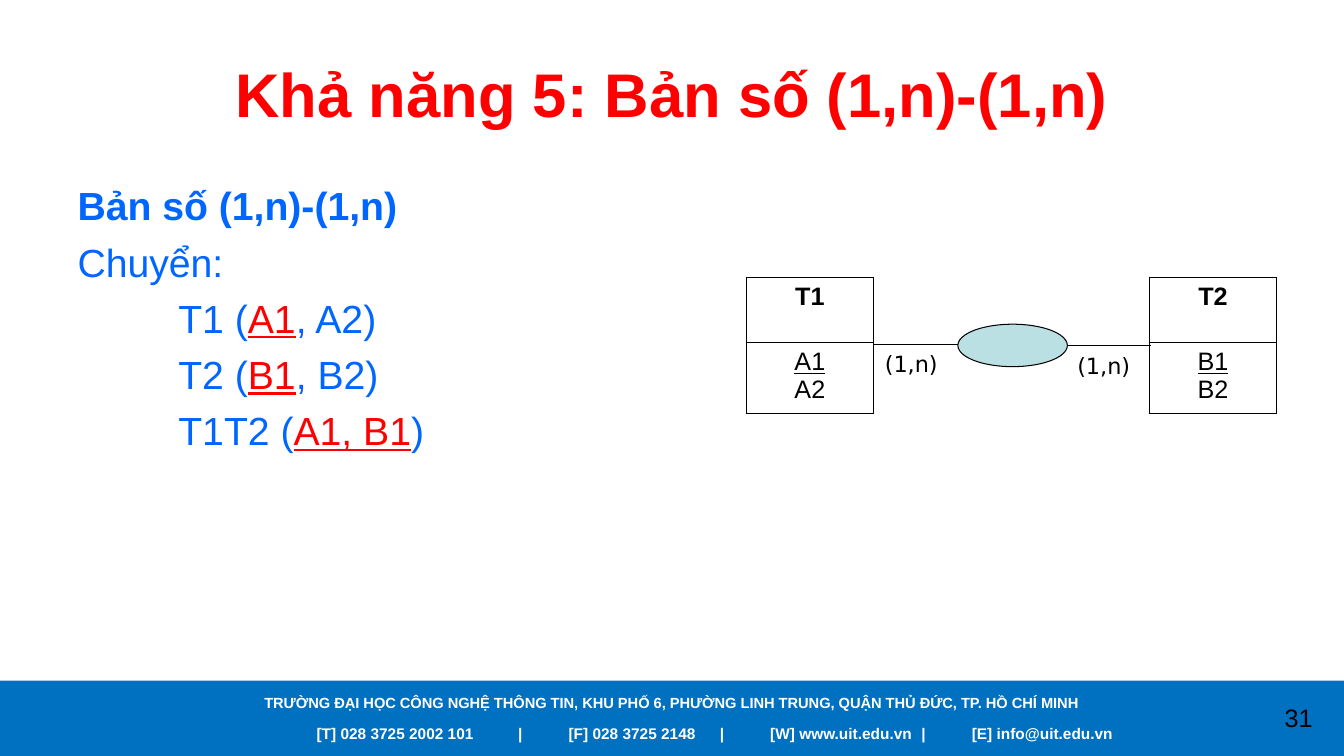
from lxml import etree
from pptx import Presentation
from pptx.dml.color import RGBColor
from pptx.enum import shapes, text
from pptx.oxml import ns
from pptx.util import Cm, Pt

COLORS = {
    "title": "FF0000",
    "key": "FF0000",
    "body": "0066FF",
    "band": "0070C0",
    "relation": "BBE0E3",
    "black": "000000",
    "white": "FFFFFF",
}
CENTER = text.PP_ALIGN.CENTER


def rgb(name):
    return RGBColor.from_string(COLORS[name])


def add_run(paragraph, content, size=18, color="black", bold=False,
            underline=False, font="Arial"):
    run = paragraph.add_run()
    run.text = content
    run.font.name = font
    run.font.size = Pt(size)
    run.font.bold = bold
    run.font.underline = underline
    run.font.color.rgb = rgb(color)


def next_paragraph(frame):
    """Return the first paragraph while it is empty, otherwise a new one."""
    first = frame.paragraphs[0]
    return frame.add_paragraph() if first.runs else first


def add_text(slide, box, content, align=None, wrap=True, **font_format):
    frame = slide.shapes.add_textbox(*map(Cm, box)).text_frame
    frame.word_wrap = wrap
    paragraph = frame.paragraphs[0]
    paragraph.alignment = align
    add_run(paragraph, content, **font_format)
    return paragraph


def place(shape, left, top, width, height):
    shape.left, shape.top = Cm(left), Cm(top)
    shape.width, shape.height = Cm(width), Cm(height)


def add_shape(slide, kind, box, fill, line=None):
    shape = slide.shapes.add_shape(kind, *map(Cm, box))
    shape.shadow.inherit = False
    shape.fill.solid()
    shape.fill.fore_color.rgb = rgb(fill)
    if line:
        shape.line.color.rgb = rgb(line)
        shape.line.width = Pt(0.75)
    else:
        shape.line.fill.background()


def add_link(slide, left, right, y):
    link = slide.shapes.add_connector(
        shapes.MSO_CONNECTOR.STRAIGHT, Cm(left), Cm(y), Cm(right), Cm(y))
    link.line.color.rgb = rgb("black")
    link.line.width = Pt(0.75)
    etree.SubElement(link._element.spPr, ns.qn("a:effectLst"))


def set_tab_stops(paragraph, indent, positions):
    """Indent the paragraph and add left tab stops, in centimetres."""
    properties = paragraph._p.get_or_add_pPr()
    properties.set("marL", str(Cm(indent)))
    properties.set("indent", "0")
    tabs = etree.SubElement(properties, ns.qn("a:tabLst"))
    for position in positions:
        etree.SubElement(tabs, ns.qn("a:tab"), pos=str(Cm(position)), algn="l")


def outline_cell(cell):
    cell.fill.background()
    properties = cell._tc.get_or_add_tcPr()
    for index, side in enumerate(("lnL", "lnR", "lnT", "lnB")):
        border = etree.Element(ns.qn(f"a:{side}"), w=str(Pt(1)))
        fill = etree.SubElement(border, ns.qn("a:solidFill"))
        etree.SubElement(fill, ns.qn("a:srgbClr"), val=COLORS["black"])
        properties.insert(index, border)


def add_entity(slide, left, name, key, attribute):
    frame = slide.shapes.add_table(2, 1, Cm(left), Cm(6.99), Cm(3.2), Cm(3.43))
    table = frame.table
    table.first_row = table.horz_banding = False
    table.rows[0].height, table.rows[1].height = Cm(1.65), Cm(1.78)
    rows = [[(name, {"bold": True})],
            [(key, {"underline": True}), (attribute, {})]]
    for index, lines in enumerate(rows):
        cell = table.cell(index, 0)
        outline_cell(cell)
        for content, font_format in lines:
            paragraph = next_paragraph(cell.text_frame)
            paragraph.alignment = CENTER
            add_run(paragraph, content, **font_format)


def add_footer(slide):
    add_shape(slide, shapes.MSO_SHAPE.RECTANGLE, (0, 17.15, 33.87, 1.9), "band")
    white = {"color": "white", "bold": True}
    add_text(slide, (0, 17.35, 33.87, 0.7),
             "TRƯỜNG ĐẠI HỌC CÔNG NGHỆ THÔNG TIN, KHU PHỐ 6, "
             "PHƯỜNG LINH TRUNG, QUẬN THỦ ĐỨC, TP. HỒ CHÍ MINH",
             align=CENTER, size=10.5, **white)
    contacts = ["[T] 028 3725 2002 101", "[F] 028 3725 2148",
                "[W] www.uit.edu.vn", "[E] info@uit.edu.vn"]
    paragraph = add_text(slide, (3.96, 18.11, 25.96, 0.74),
                         "\t|\t".join(contacts), size=11, **white)
    set_tab_stops(paragraph, 3.77, (8.26, 8.91, 12.64, 13.3, 17.4, 18.06))
    add_text(slide, (31.6, 17.58, 2.26, 1.02), "31", align=CENTER)


def fill_title(title):
    place(title, 1.7, 0.76, 30.48, 3.18)
    title.text_frame.auto_size = text.MSO_AUTO_SIZE.NONE
    title.text_frame.vertical_anchor = text.MSO_ANCHOR.MIDDLE
    paragraph = title.text_frame.paragraphs[0]
    paragraph.alignment = CENTER
    add_run(paragraph, "Khả năng 5: Bản số (1,n)-(1,n)",
            size=44, color="title", bold=True)


def add_body_line(frame, indent=0):
    paragraph = next_paragraph(frame)
    paragraph.space_before = Pt(6.5)
    properties = paragraph._p.get_or_add_pPr()
    properties.set("marL", str(Cm(indent)))
    properties.set("indent", "0")
    etree.SubElement(properties, ns.qn("a:buNone"))
    return paragraph


def fill_body(body):
    place(body, 1.7, 4.45, 14.96, 12.57)
    frame = body.text_frame
    frame.auto_size = text.MSO_AUTO_SIZE.NONE
    blue = {"size": 28, "color": "body"}
    add_run(add_body_line(frame), "Bản số (1,n)-(1,n)", bold=True, **blue)
    add_run(add_body_line(frame), "Chuyển:", **blue)
    relations = [("T1 (", "A1", ", A2)"), ("T2 (", "B1", ", B2)"),
                 ("T1T2 (", "A1, B1", ")")]
    for opening, key, closing in relations:
        paragraph = add_body_line(frame, indent=2.54)
        add_run(paragraph, opening, **blue)
        add_run(paragraph, key, size=28, color="key", underline=True)
        add_run(paragraph, closing, **blue)


def add_diagram(slide):
    add_entity(slide, 18.81, "T1", "A1", "A2")
    add_entity(slide, 28.97, "T2", "B1", "B2")
    add_shape(slide, shapes.MSO_SHAPE.OVAL, (24.14, 8.17, 2.76, 1.07),
              "relation", line="black")
    for left, right, y in ((22.02, 24.13, 8.69), (26.9, 29, 8.71)):
        add_link(slide, left, right, y)
    for left, top in ((22.05, 8.71), (26.9, 8.76)):
        add_text(slide, (left, top, 1.96, 0.94), "(1,n)", wrap=False,
                 size=16, font="DejaVu Sans")


def main():
    presentation = Presentation()
    presentation.slide_width, presentation.slide_height = Cm(33.87), Cm(19.05)
    slide = presentation.slides.add_slide(presentation.slide_layouts[1])
    add_footer(slide)
    fill_title(slide.shapes.title)
    fill_body(slide.placeholders[1])
    add_diagram(slide)
    presentation.save("out.pptx")


if __name__ == "__main__":
    main()
